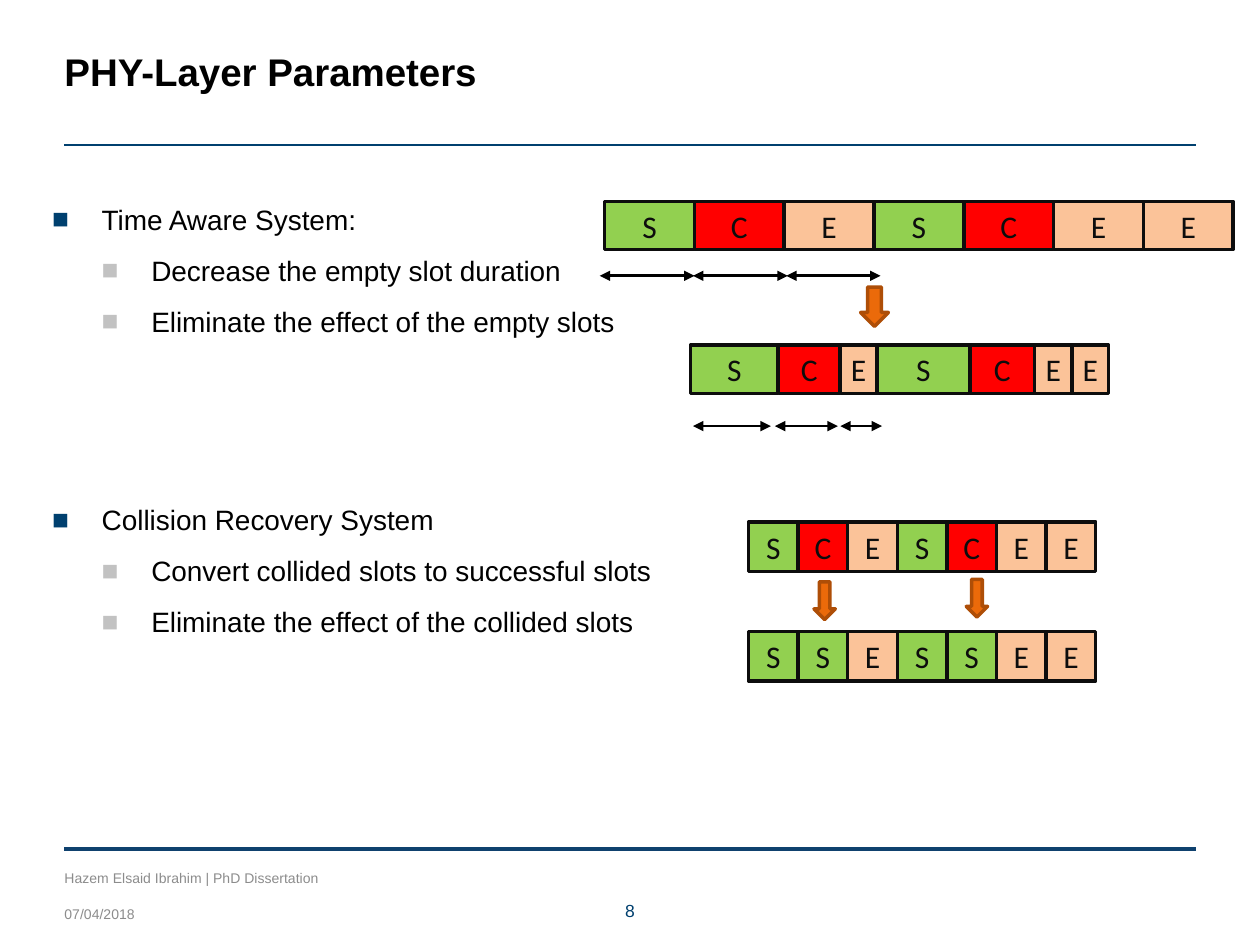
from lxml import etree
from pptx import Presentation
from pptx.dml.color import RGBColor
from pptx.enum.shapes import MSO_CONNECTOR, MSO_SHAPE
from pptx.enum.text import MSO_ANCHOR, MSO_AUTO_SIZE, PP_ALIGN
from pptx.oxml.ns import qn
from pptx.util import Cm, Pt

RECT, DOWN = MSO_SHAPE.RECTANGLE, MSO_SHAPE.DOWN_ARROW
LINE = MSO_CONNECTOR.STRAIGHT
TOP, MIDDLE = MSO_ANCHOR.TOP, MSO_ANCHOR.MIDDLE
LEFT, CENTER = PP_ALIGN.LEFT, PP_ALIGN.CENTER
FIXED = MSO_AUTO_SIZE.NONE
hue = RGBColor.from_string


def draw(kind, x, y, wide, high, fill, edge):
    shape = slide.shapes.add_shape(kind, Cm(x), Cm(y), Cm(wide), Cm(high))
    shape.shadow.inherit = False
    shape.fill.solid()
    shape.fill.fore_color.rgb = hue(fill)
    shape.line.color.rgb = hue(edge)
    shape.line.width = Pt(2)
    return shape


def rule(start, end, y, color, width):
    line = slide.shapes.add_connector(LINE, Cm(start), Cm(y), Cm(end), Cm(y))
    line.line.color.rgb = hue(color)
    line.line.width = Pt(width)
    etree.SubElement(line._element.spPr, qn("a:effectLst"))
    return line


deck = Presentation()
deck.slide_width, deck.slide_height = Cm(25.4), Cm(19.05)
slide = deck.slides.add_slide(deck.slide_layouts[1])

# Rules under the title and above the footer
rule(1.3, 24.1, 2.92, "00406F", 1)
rule(1.3, 24.1, 17.12, "0F416E", 2.5)

# Title, footer lines and slide number
title = slide.shapes.title
foot, date, page = [slide.shapes.add_textbox(0, 0, 0, 0) for _ in range(3)]
labels = [
    (title, "PHY-Layer Parameters", 1.3, 0.97, 22.8, 0.94, 22, "000000", LEFT, MIDDLE),
    (foot, "Hazem Elsaid Ibrahim | PhD Dissertation", 1.3, 17.53, 8.05, 0.33, 8, "8C8C8C", LEFT, MIDDLE),
    (date, "07/04/2018", 1.3, 18.26, 5.92, 0.33, 8, "8C8C8C", LEFT, MIDDLE),
    (page, "8", 12.1, 18.14, 1.2, 0.43, 10, "00406F", CENTER, TOP),
]
for box, text, x, y, wide, high, size, color, align, anchor in labels:
    box.left, box.top, box.width, box.height = Cm(x), Cm(y), Cm(wide), Cm(high)
    frame = box.text_frame
    frame.auto_size = FIXED
    frame.word_wrap = True
    frame.margin_left = frame.margin_right = frame.margin_top = frame.margin_bottom = 0
    frame.vertical_anchor = anchor
    frame.text = text
    para = frame.paragraphs[0]
    para.alignment = align
    para.font.name, para.font.size = "Arial", Pt(size)
    para.font.bold = box is title
    para.font.color.rgb = hue(color)

# Bulleted list: level, space before, text
items = [
    (0, 0, "Time Aware System:"),
    (1, 0, "Decrease the empty slot duration"),
    (1, 0, "Eliminate the effect of the empty slots"),
    (0, 84.5, "Collision Recovery System"),
    (1, 0, "Convert collided slots to successful slots"),
    (1, 0, "Eliminate the effect of the collided slots"),
]
body = slide.placeholders[1]
body.left, body.top, body.width, body.height = Cm(1.05), Cm(4.04), Cm(23.3), Cm(13)
frame = body.text_frame
frame.auto_size = FIXED
frame.vertical_anchor = TOP
frame.margin_left = frame.margin_right = frame.margin_top = frame.margin_bottom = 0
for i, (level, gap, text) in enumerate(items):
    para = frame.add_paragraph() if i else frame.paragraphs[0]
    para.text = text
    para.level = level
    props = para._p.get_or_add_pPr()
    props.set("marL", str(Cm(1 + level)))
    props.set("indent", str(Cm(-1)))
    tint = etree.SubElement(props, qn("a:buClr"))
    etree.SubElement(tint, qn("a:srgbClr"), val=("00406F", "C2C2C2")[level])
    etree.SubElement(props, qn("a:buFont"), typeface="Arial")
    etree.SubElement(props, qn("a:buChar"), char="■")
    para.line_spacing = 1.05
    para.space_before, para.space_after = Pt(gap), Pt(9)
    para.font.name, para.font.size = "Arial", Pt(16)
    para.font.color.rgb = hue("000000")

# Slot rows: left, top, height, letters, widths
fills = {"S": "92D050", "C": "FF0000", "E": "FBC399"}
rows = [
    (12.19, 4.06, 0.97, "SCESCEE", [1.81] * 7),
    (13.92, 6.96, 0.97, "SCESCEE", [1.77, 1.25, 0.74, 1.87, 1.31, 0.75, 0.74]),
    (15.09, 10.52, 1, "SCESCEE", [1] * 7),
    (15.09, 12.73, 1, "SSESSEE", [1] * 7),
]
for x, y, high, slots, widths in rows:
    for slot, wide in zip(slots, widths):
        cell = draw(RECT, x, y, wide, high, fills[slot], "0D0D0D")
        x += wide
        frame = cell.text_frame
        frame.margin_left = frame.margin_right = 0
        frame.vertical_anchor = MIDDLE
        frame.text = slot
        para = frame.paragraphs[0]
        para.alignment = CENTER
        para.font.name, para.font.size = "Calibri", Pt(18)
        para.font.color.rgb = hue("0D0D0D")

# Duration arrows below the first two rows
spans = [
    (5.56, [(12.09, 14), (13.97, 15.88), (15.85, 17.75)]),
    (8.59, [(13.97, 15.54), (15.62, 16.89), (16.94, 17.78)]),
]
for y, pairs in spans:
    for start, end in pairs:
        span = rule(start, end, y, "000000", 1.5)
        edge = span.line._get_or_add_ln()
        for tip in ("a:headEnd", "a:tailEnd"):
            etree.SubElement(edge, qn(tip), type="triangle")

# Arrows from each row to its result
for x, y, wide, high in [(17.35, 5.79, 0.56, 0.79), (16.41, 11.73, 0.43, 0.76), (19.48, 11.68, 0.43, 0.76)]:
    draw(DOWN, x, y, wide, high, "EB6A0A", "AE4E07")

deck.save("out.pptx")
